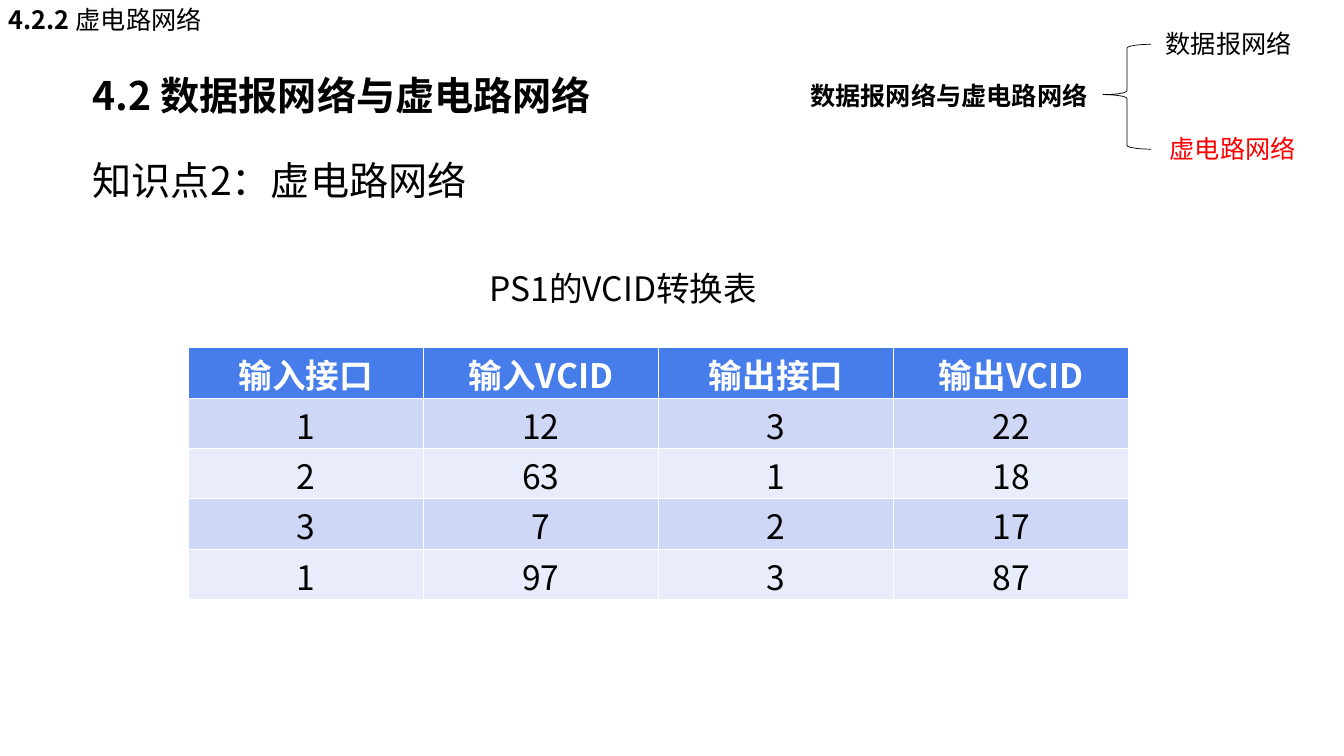
from collections import namedtuple

from lxml.etree import SubElement
from pptx import Presentation
from pptx.dml.color import RGBColor
from pptx.enum.shapes import MSO_SHAPE
from pptx.enum.text import MSO_ANCHOR, PP_ALIGN
from pptx.oxml.ns import qn
from pptx.util import Inches, Pt

FONT = "Noto Sans CJK SC"
COLORS = {
    "text": "000000",
    "current": "FF0000",
    "header": "477DEA",
    "header_text": "FFFFFF",
    "band_dark": "CFD7F7",
    "band_light": "E9ECFB",
}
GRID_COLUMNS = 160
SLIDE_WIDTH = Inches(13.333)
SLIDE_HEIGHT = Inches(7.5)
UNIT = SLIDE_WIDTH / GRID_COLUMNS
VCID_ROWS = [
    ["输入接口", "输入VCID", "输出接口", "输出VCID"],
    ["1", "12", "3", "22"],
    ["2", "63", "1", "18"],
    ["3", "7", "2", "17"],
    ["1", "97", "3", "87"],
]

Box = namedtuple("Box", "left top width height")


def color(name):
    return RGBColor.from_string(COLORS[name])


def lengths(box):
    return [round(value * UNIT) for value in box]


def within(box, left, top, width, height):
    return Box(box.left + left, box.top + top, width, height)


def write(frame, *texts, size=18, fill="text", bold=(False,), align=PP_ALIGN.LEFT, spacing=None):
    para = frame.paragraphs[0]
    para.alignment = align
    para.line_spacing = spacing
    for text, weight in zip(texts, bold):
        span = para.add_run()
        span.text = text
        span.font.size = Pt(size)
        span.font.name = FONT
        span.font.bold = weight
        span.font.color.rgb = color(fill)
        SubElement(span.font._element, qn("a:ea"), typeface=FONT)


def add_text(page, box, *texts, wrap=True, anchor=MSO_ANCHOR.TOP, inset=(0.1, 0.05), **style):
    frame = page.shapes.add_textbox(*lengths(box)).text_frame
    frame.word_wrap = wrap
    frame.vertical_anchor = anchor
    frame.margin_left = frame.margin_right = Inches(inset[0])
    frame.margin_top = frame.margin_bottom = Inches(inset[1])
    write(frame, *texts, **style)


def add_headings(page, box):
    inset = (0.12, 0.06)
    add_text(page, within(box, 0, 0, 115.8, 7.08), "4.2 数据报网络与虚电路网络",
             size=28, bold=(True,), inset=inset)
    add_text(page, within(box, 0, 6, box.width, 12.48), "知识点2：虚电路网络",
             size=28, spacing=1.5, anchor=MSO_ANCHOR.MIDDLE, inset=inset)


def add_vcid_table(page, box):
    add_text(page, within(box, 34.72, 0, 42.48, 6), "PS1的VCID转换表", size=24)
    area = within(box, 0, 10.08, box.width, 30)
    table = page.shapes.add_table(len(VCID_ROWS), len(VCID_ROWS[0]), *lengths(area)).table
    for row, values in enumerate(VCID_ROWS):
        header = row == 0
        band = "header" if header else "band_dark" if row % 2 else "band_light"
        for column, value in enumerate(values):
            cell = table.cell(row, column)
            cell.fill.solid()
            cell.fill.fore_color.rgb = color(band)
            cell.margin_top = Inches(0.02)
            cell.margin_bottom = 0
            write(cell.text_frame, value, size=24, bold=(header,), align=PP_ALIGN.CENTER,
                  fill="header_text" if header else "text")


def add_outline(page, box):
    brace = page.shapes.add_shape(MSO_SHAPE.LEFT_BRACE, *lengths(within(box, 36, 1.56, 5.76, 12.48)))
    brace.shadow.inherit = False
    brace.fill.background()
    brace.line.color.rgb = color("text")
    brace.line.width = Pt(0.5)
    brace.adjustments[0] = 0.08
    brace.adjustments[1] = 0.48
    for label, left, top, fill in [("数据报网络", 42.24, 0, "text"), ("虚电路网络", 42.72, 12.48, "current")]:
        add_text(page, within(box, left, top, 17.52, 3.96), label, wrap=False,
                 fill=fill, align=PP_ALIGN.CENTER, spacing=Pt(16))
    add_text(page, within(box, 0, 5.28, 36, 4.8), "数据报网络与虚电路网络", wrap=False, bold=(True,))


def add_section_tag(page, box):
    add_text(page, box, "4.2.2 ", "虚电路网络", wrap=False, bold=(True, False),
             align=PP_ALIGN.CENTER, spacing=Pt(16))


def main():
    deck = Presentation()
    deck.slide_width = SLIDE_WIDTH
    deck.slide_height = SLIDE_HEIGHT
    page = deck.slides.add_slide(deck.slide_layouts[6])
    add_headings(page, Box(9.6, 7.8, 145.92, 18.48))
    add_vcid_table(page, Box(22.4, 31.32, 112, 40.08))
    add_outline(page, Box(95.28, 3.72, 60.24, 16.44))
    add_section_tag(page, Box(-0.84, 0.84, 26.76, 3.96))
    deck.save("out.pptx")


if __name__ == "__main__":
    main()
